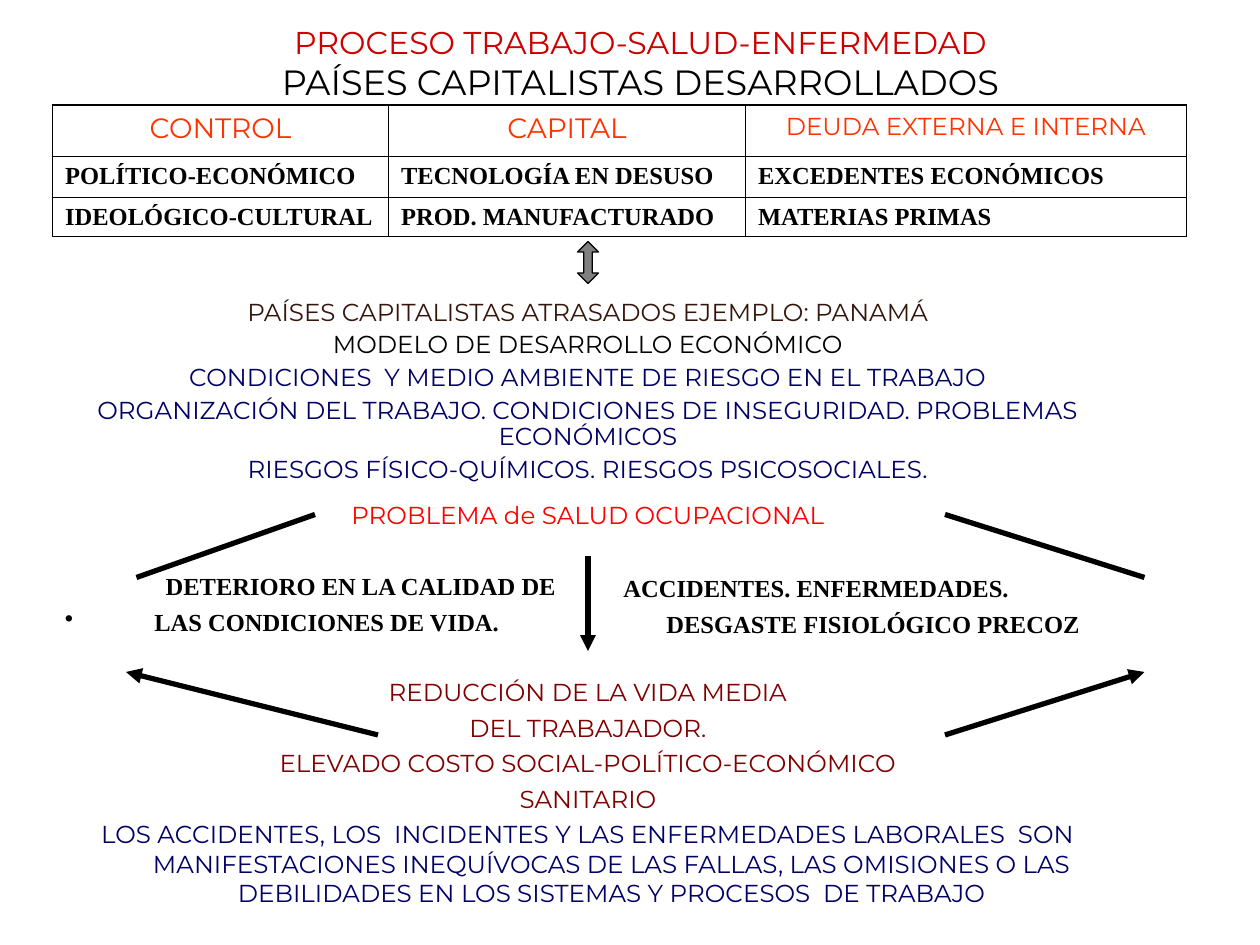
from lxml import etree
from pptx import Presentation
from pptx import util as u
from pptx.dml.color import RGBColor
from pptx.enum import shapes, text
from pptx.oxml import ns

BLACK = RGBColor(0, 0, 0)
CRIMSON = RGBColor(0xCC, 0, 0)
RED = RGBColor(0xFF, 0, 0)
ORANGE = RGBColor(0xFF, 0x33, 0)
BROWN = RGBColor(0x34, 0x16, 0x0C)
MAROON = RGBColor(0x80, 0, 0)
NAVY = RGBColor(0, 0, 0x66)
GRAY = RGBColor(0x80, 0x80, 0x80)
SANS, SERIF = "Montserrat", "Times New Roman"
CENTER, LEFT = text.PP_ALIGN.CENTER, text.PP_ALIGN.LEFT

deck = Presentation()
deck.slide_width, deck.slide_height = u.Inches(10), u.Inches(7.5)
page = deck.slides.add_slide(deck.slide_layouts[6])
UNIT = deck.slide_width // 120  # the page is a grid of 120 columns by 90 rows


def add_box(column, row, columns, rows):
    box = page.shapes.add_textbox(*[int(n * UNIT) for n in (column, row, columns, rows)])
    box.text_frame.word_wrap = True
    return box.text_frame


def style(span, size, color, face=SANS):
    """Format a run; the serif face is always bold here."""
    span.font.size, span.font.name = u.Pt(size), face
    span.font.bold = face == SERIF
    span.font.color.rgb = color


# Title
title = add_box(10, 2, 102, 8)
title.vertical_anchor = text.MSO_ANCHOR.MIDDLE
para = title.paragraphs[0]
para.text = "PROCESO TRABAJO-SALUD-ENFERMEDAD\vPAÍSES CAPITALISTAS DESARROLLADOS"
para.alignment = CENTER
for span, size, color in zip(para.runs, (18, 20), (CRIMSON, BLACK)):
    style(span, size, color)

# Table of exchanges
CELLS = [
    ["CONTROL", "CAPITAL", "DEUDA EXTERNA E INTERNA"],
    ["POLÍTICO-ECONÓMICO", "TECNOLOGÍA EN DESUSO", "EXCEDENTES ECONÓMICOS"],
    ["IDEOLÓGICO-CULTURAL", "PROD. MANUFACTURADO", "MATERIAS PRIMAS"],
]
table = page.shapes.add_table(3, 3, 5 * UNIT, 10 * UNIT, 108 * UNIT, u.Inches(1.04)).table
table.first_row = table.horz_banding = False
for column, width in zip(table.columns, (32, 34, 42)):
    column.width = width * UNIT
for row, height in zip(table.rows, (0.41, 0.32, 0.31)):
    row.height = u.Inches(height)
for r, words in enumerate(CELLS):
    for c, word in enumerate(words):
        cell = table.cell(r, c)
        cell.fill.background()
        cell.margin_bottom = u.Inches(0.03)
        para = cell.text_frame.paragraphs[0]
        para.text = word
        if r == 0:
            para.alignment = CENTER
            style(para.runs[0], 14 if c == 2 else 16, ORANGE)
        else:
            style(para.runs[0], 14, BLACK, SERIF)
        outer_edges = {"lnL": c == 0, "lnR": c == 2, "lnT": r == 0, "lnB": r == 2}
        properties = cell._tc.get_or_add_tcPr()
        for position, (edge, outer) in enumerate(outer_edges.items()):
            border = etree.Element(ns.qn("a:" + edge), w=str(u.Pt(1.08 if outer else 0.45)))
            fill = etree.SubElement(border, ns.qn("a:solidFill"))
            etree.SubElement(fill, ns.qn("a:srgbClr"), val=str(BLACK))
            properties.insert(position, border)

# Work conditions in Panamá
CONDITIONS = [
    ("PAÍSES CAPITALISTAS ATRASADOS EJEMPLO: PANAMÁ", BROWN),
    ("MODELO DE DESARROLLO ECONÓMICO", BLACK),
    ("CONDICIONES  Y MEDIO AMBIENTE DE RIESGO EN EL TRABAJO", NAVY),
    ("ORGANIZACIÓN DEL TRABAJO. CONDICIONES DE INSEGURIDAD. PROBLEMAS ECONÓMICOS", NAVY),
    ("RIESGOS FÍSICO-QUÍMICOS. RIESGOS PSICOSOCIALES.", NAVY),
]
conditions = add_box(5, 28, 102, 18.72)
for i, (words, color) in enumerate(CONDITIONS):
    para = conditions.add_paragraph() if i else conditions.paragraphs[0]
    para.text = words
    para.alignment, para.line_spacing = CENTER, 0.9
    para.space_before = u.Pt(3.5 if i else 0)
    style(para.runs[0], 14, color)

# Consequences: words, face, colour, space before, left margin, first indent, bullet
CONSEQUENCES = [
    ("PROBLEMA de SALUD OCUPACIONAL", SANS, RED, 0, 0.38, -0.38, False),
    ("DETERIORO EN LA CALIDAD DE", SERIF, BLACK, 24, 0.8, 0, False),
    ("LAS CONDICIONES DE VIDA.", SERIF, BLACK, 3.5, 0.71, -0.71, True),
    ("REDUCCIÓN DE LA VIDA MEDIA", SANS, MAROON, 23.5, 0.38, -0.38, False),
    ("DEL TRABAJADOR.", SANS, MAROON, 3.5, 0.38, -0.38, False),
    ("ELEVADO COSTO SOCIAL-POLÍTICO-ECONÓMICO", SANS, MAROON, 3.5, 0.38, -0.38, False),
    ("SANITARIO", SANS, MAROON, 3.5, 0.38, -0.38, False),
    ("LOS ACCIDENTES, LOS  INCIDENTES Y LAS ENFERMEDADES LABORALES  SON MANIFESTACIONES "
     "INEQUÍVOCAS DE LAS FALLAS, LAS OMISIONES O LAS DEBILIDADES EN LOS SISTEMAS Y "
     "PROCESOS  DE TRABAJO", SANS, NAVY, 3.5, 0.38, -0.38, False),
]
HEALTH_EFFECTS = [
    ("ACCIDENTES. ENFERMEDADES.", SERIF, BLACK, 0, 0, 0, False),
    ("DESGASTE FISIOLÓGICO PRECOZ", SERIF, BLACK, 3.5, 0.34, 0, False),
]
for frame, entries in (
    (add_box(5, 47, 102, 42), CONSEQUENCES),
    (add_box(58.2, 54, 48, 7), HEALTH_EFFECTS),
):
    for i, (words, face, color, before, margin, indent, bullet) in enumerate(entries):
        para = frame.add_paragraph() if i else frame.paragraphs[0]
        para.text = words
        para.alignment = LEFT if face == SERIF else CENTER
        para.space_before = u.Pt(before)
        properties = para._p.get_or_add_pPr()
        properties.set("marL", str(u.Inches(margin)))
        properties.set("indent", str(u.Inches(indent)))
        if bullet:
            etree.SubElement(properties, ns.qn("a:buChar"), char="•")
        else:
            etree.SubElement(properties, ns.qn("a:buNone"))
        style(para.runs[0], 14, color, face)

# Lines around the consequences: start, end, arrowhead
LINES = [
    ((36, 70), (12, 64), True),
    ((90, 70), (109, 64), True),
    ((56, 53), (56, 62), True),
    ((90, 49), (109, 55), False),
    ((30, 49), (13, 55), False),
]
for start, end, arrow in LINES:
    ends = [value * UNIT for value in start + end]
    line = page.shapes.add_connector(shapes.MSO_CONNECTOR.STRAIGHT, *ends)
    line.line.color.rgb, line.line.width = BLACK, u.Pt(3)
    if arrow:
        etree.SubElement(line.line._get_or_add_ln(), ns.qn("a:tailEnd"), type="triangle")
    etree.SubElement(line._element.spPr, ns.qn("a:effectLst"))

# Two-way arrow between the table and the conditions
exchange = page.shapes.add_shape(
    shapes.MSO_SHAPE.UP_DOWN_ARROW, 55 * UNIT, 23 * UNIT, 2 * UNIT, 4 * UNIT)
exchange.adjustments[0], exchange.adjustments[1] = 0.5, 0.4
exchange.shadow.inherit = False
exchange.fill.solid()
exchange.fill.fore_color.rgb = GRAY
exchange.line.color.rgb, exchange.line.width = BLACK, u.Pt(0.75)

deck.save("out.pptx")
